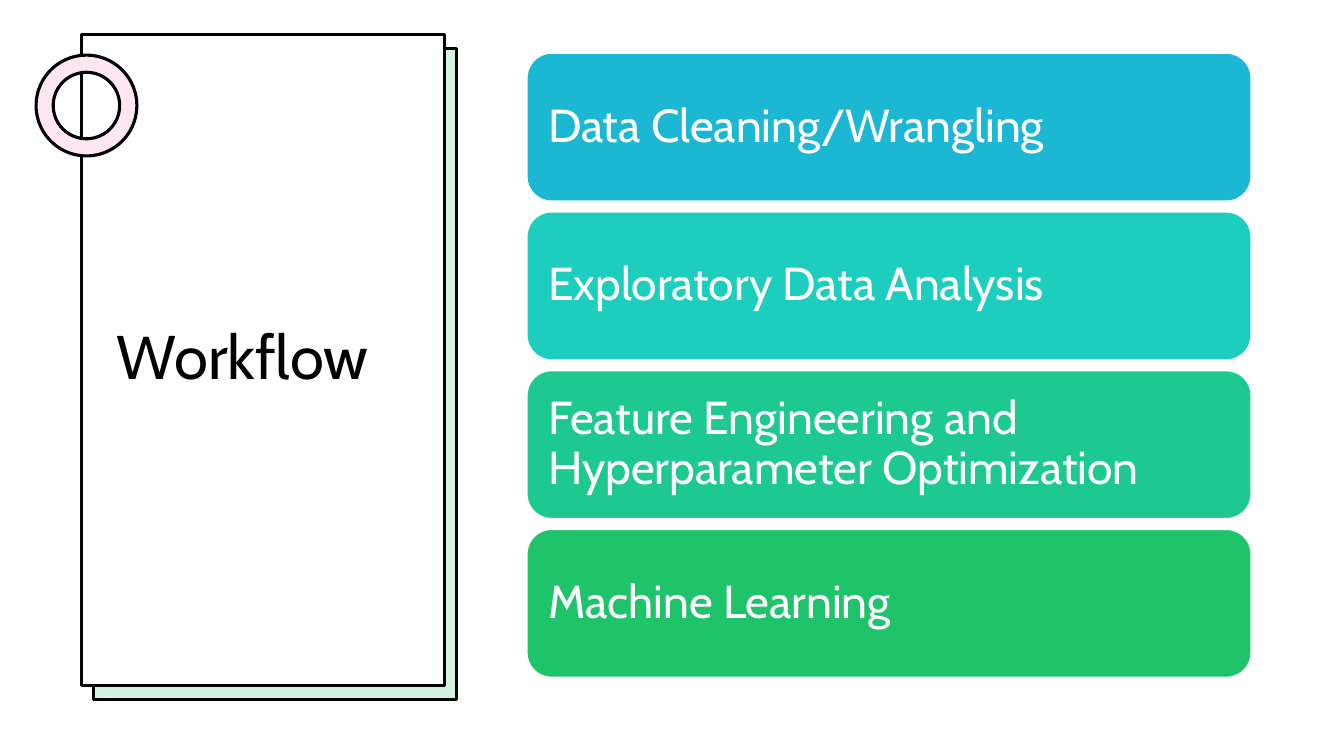
from pptx import Presentation
from pptx.dml.color import RGBColor
from pptx.enum.shapes import MSO_SHAPE
from pptx.enum.text import MSO_ANCHOR, MSO_AUTO_SIZE, PP_ALIGN
from pptx.util import Cm, Pt


def add_block(kind, left, top, width, height, fill, line, line_width):
    block = page.shapes.add_shape(kind, Cm(left), Cm(top), Cm(width), Cm(height))
    block.shadow.inherit = False
    block.fill.solid()
    block.fill.fore_color.rgb = RGBColor.from_string(fill)
    block.line.color.rgb = RGBColor.from_string(line)
    block.line.width = Pt(line_width)
    return block


def write_text(box, text, size, color):
    frame = box.text_frame
    frame.text = text
    frame.word_wrap = True
    frame.auto_size = MSO_AUTO_SIZE.NONE
    frame.vertical_anchor = MSO_ANCHOR.MIDDLE
    paragraph = frame.paragraphs[0]
    paragraph.alignment = PP_ALIGN.LEFT
    paragraph.line_spacing = 0.9
    font = paragraph.runs[0].font
    font.name = "Cabin"
    font.size = Pt(size)
    font.color.rgb = RGBColor.from_string(color)


deck = Presentation()
deck.slide_width, deck.slide_height = Cm(33.87), Cm(19.05)
page = deck.slides.add_slide(deck.slide_layouts[5])

# Title card: a tinted sheet behind a white one, held by a ring
for left, top, fill in [(2.36, 1.22, "D3F3E1"), (2.06, 0.86, "FFFFFF")]:
    add_block(MSO_SHAPE.RECTANGLE, left, top, 9.14, 16.41, fill, "000000", 2.25)
ring = add_block(MSO_SHAPE.DONUT, 0.91, 1.39, 2.54, 2.54, "FFE6F2", "000000", 2.25)
ring.adjustments[0] = 0.17

title = page.shapes.title
title.left, title.top, title.width, title.height = Cm(2.69), Cm(7.21), Cm(7.9), Cm(3.68)
write_text(title, "Workflow", 44, "000000")
page.shapes.element.append(title.element)  # bring the title in front of the sheets

# Workflow steps
steps = [
    ("Data Cleaning/Wrangling", "1CB7D2"),
    ("Exploratory Data Analysis", "1DCDBD"),
    ("Feature Engineering and Hyperparameter Optimization", "1EC891"),
    ("Machine Learning", "1FC36A"),
]
for index, (text, fill) in enumerate(steps):
    step = add_block(MSO_SHAPE.ROUNDED_RECTANGLE, 13.28, 1.34 + 4 * index,
                     18.25, 3.73, fill, "FFFFFF", 1)
    frame = step.text_frame
    frame.margin_left = frame.margin_right = Cm(0.35)
    frame.margin_top = frame.margin_bottom = Cm(0.35)
    write_text(step, text, 33, "FFFFFF")

deck.save("out.pptx")
